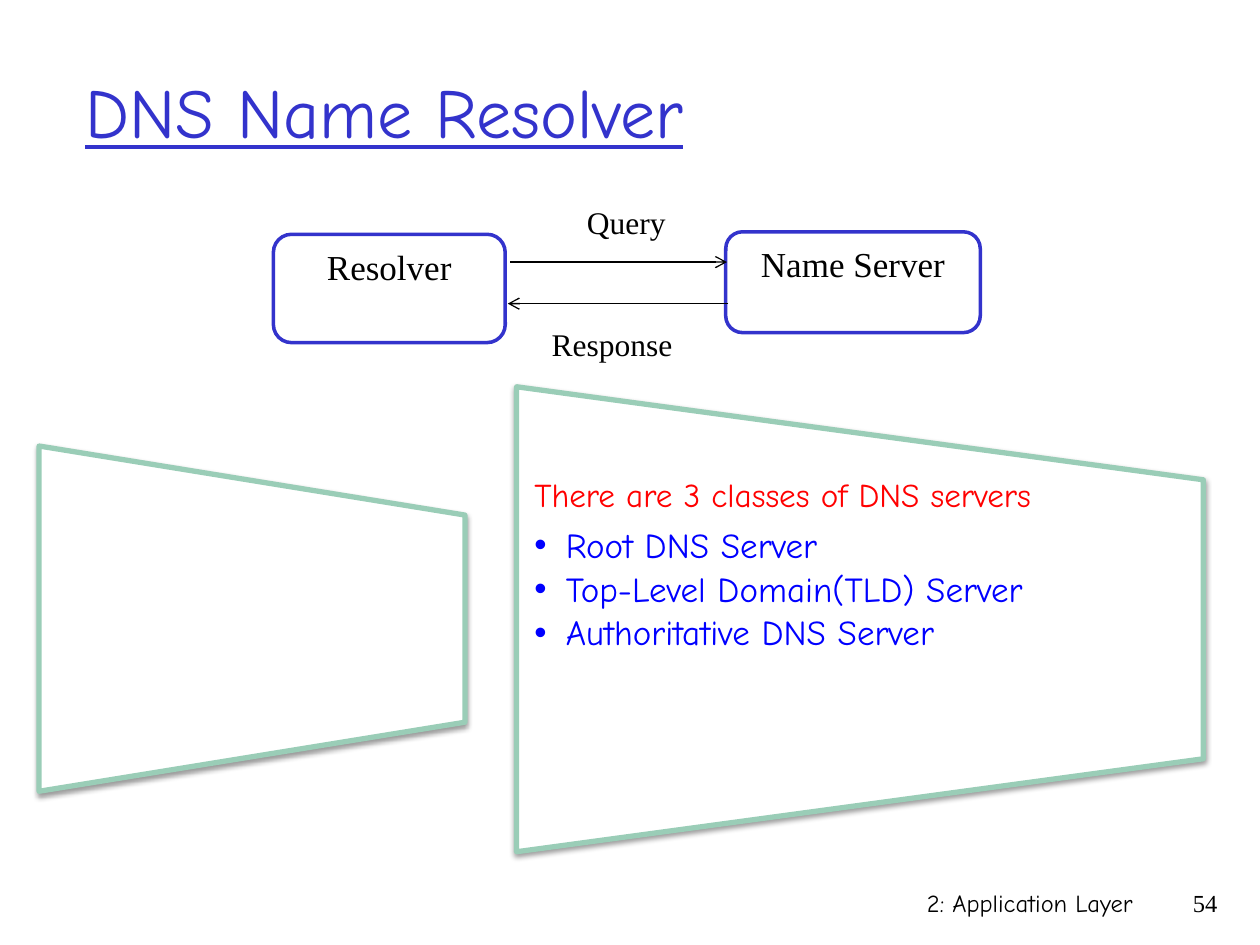
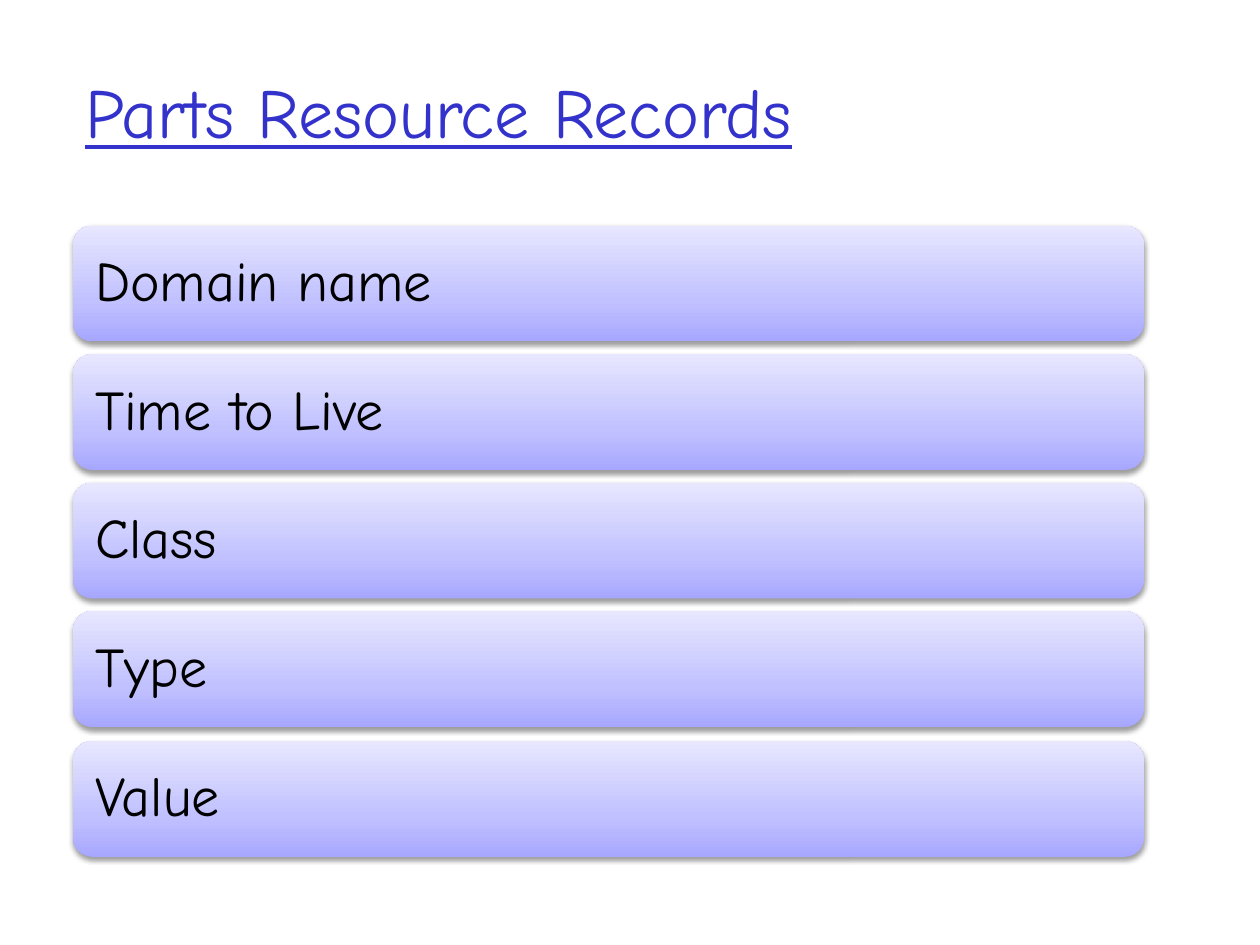
"""Build two slides on DNS name resolution and resource records."""
from dataclasses import dataclass, field
from typing import Any, NamedTuple

from lxml.etree import SubElement
from pptx import Presentation
from pptx.dml.color import RGBColor
from pptx.enum.shapes import MSO_CONNECTOR, MSO_SHAPE
from pptx.enum.text import MSO_ANCHOR, PP_ALIGN
from pptx.oxml.ns import qn
from pptx.util import Emu, Pt

PX = 9144
COLORS = {
    "title": "3333CC",
    "text": "000000",
    "paper": "FFFFFF",
    "panel": "9ACDB7",
    "heading": "FF0000",
    "item": "0000FF",
}
CARD_GRADIENT = {0: "A7A7FF", 35: "C1C1FF", 100: "E7E7FF"}
COMIC = "Comic Neue"
TIMES = "Times New Roman"
MARGINS = ("margin_left", "margin_top", "margin_right", "margin_bottom")


class Area(NamedTuple):
    left: int
    top: int
    width: int
    height: int


@dataclass(frozen=True)
class Line:
    text: str
    size: int
    color: str = "text"
    font: str = COMIC
    underline: bool = False
    bullet: bool = False
    para_format: dict[str, Any] = field(default_factory=dict)


@dataclass(frozen=True)
class Label:
    area: Area
    lines: tuple[Line, ...]
    margins: tuple[int, int, int, int] = (10, 5, 10, 5)
    frame_format: dict[str, Any] = field(default_factory=dict)


@dataclass(frozen=True)
class Arrow:
    start: tuple[int, int]
    end: tuple[int, int]


def px(length: int) -> Emu:
    return Emu(length * PX)


def rgb(name: str) -> RGBColor:
    return RGBColor.from_string(COLORS[name])


def apply_format(target: Any, values: dict[str, Any]) -> None:
    for name, value in values.items():
        setattr(target, name, value)


def add_bullet(para: Any) -> None:
    properties = para._p.get_or_add_pPr()
    apply_format(properties, {"lvl": 1})
    properties.set("marL", str(px(25)))
    properties.set("indent", str(px(-25)))
    SubElement(properties, qn("a:buFont"), typeface="Arial")
    SubElement(properties, qn("a:buChar"), char="•")


def write_text(box: Any, label: Label) -> None:
    frame = box.text_frame
    margins = {name: px(value) for name, value in zip(MARGINS, label.margins)}
    defaults = {"word_wrap": True, "vertical_anchor": MSO_ANCHOR.TOP}
    apply_format(frame, defaults | margins | label.frame_format)
    for index, line in enumerate(label.lines):
        para = frame.add_paragraph() if index else frame.paragraphs[0]
        if line.bullet:
            add_bullet(para)
        apply_format(para, {"alignment": PP_ALIGN.LEFT} | line.para_format)
        span = para.add_run()
        span.text = line.text
        apply_format(span.font, {"name": line.font, "size": Pt(line.size), "underline": line.underline})
        span.font.color.rgb = rgb(line.color)


def add_label(page: Any, label: Label) -> None:
    write_text(page.shapes.add_textbox(*map(px, label.area)), label)


def add_title(page: Any, text: str) -> None:
    line = Line(text, 40, "title", underline=True)
    add_label(page, Label(Area(58, 25, 850, 125), (line,), frame_format={"vertical_anchor": MSO_ANCHOR.MIDDLE}))


def add_box(page: Any, kind: MSO_SHAPE, area: Area, outline: str = "", width: int = 0) -> Any:
    box = page.shapes.add_shape(kind, *map(px, area))
    box.shadow.inherit = False
    box.fill.solid()
    box.fill.fore_color.rgb = rgb("paper")
    if outline:
        box.line.color.rgb = rgb(outline)
        box.line.width = Pt(width)
    else:
        box.line.fill.background()
    return box


def add_shadow(box: Any) -> None:
    effects = box._element.spPr.find(qn("a:effectLst"))
    shadow = SubElement(
        effects, qn("a:outerShdw"), blurRad=str(Pt(3.1)), dist=str(Pt(1.6)), dir="5400000", rotWithShape="0"
    )
    color = SubElement(shadow, qn("a:srgbClr"), val=COLORS["text"])
    SubElement(color, qn("a:alpha"), val="38000")


def add_panel(page: Any, area: Area) -> None:
    panel = add_box(page, MSO_SHAPE.FLOWCHART_MANUAL_OPERATION, area, "panel", 3)
    panel.rotation = 270
    add_shadow(panel)


def add_node(page: Any, area: Area, text: str) -> None:
    node = add_box(page, MSO_SHAPE.ROUNDED_RECTANGLE, area, "title", 2)
    line = Line(text, 20, font=TIMES, para_format={"alignment": PP_ALIGN.CENTER})
    write_text(node, Label(area, (line,)))


def add_arrow(page: Any, arrow: Arrow) -> None:
    connector = page.shapes.add_connector(MSO_CONNECTOR.STRAIGHT, *map(px, arrow.start + arrow.end))
    connector.line.color.rgb = rgb("text")
    connector.line.width = Pt(0.75)
    SubElement(connector.line._get_or_add_ln(), qn("a:tailEnd"), type="arrow")
    SubElement(connector._element.spPr, qn("a:effectLst"))


def add_card(page: Any, area: Area, text: str) -> None:
    card = add_box(page, MSO_SHAPE.ROUNDED_RECTANGLE, area)
    card.fill.gradient()
    card.fill.gradient_angle = 90
    stops = card._element.spPr.find(qn("a:gradFill")).find(qn("a:gsLst"))
    for stop in list(stops):
        stops.remove(stop)
    for position, color in CARD_GRADIENT.items():
        stop = SubElement(stops, qn("a:gs"), pos=str(position * 1000))
        SubElement(stop, qn("a:srgbClr"), val=color)
    add_shadow(card)
    line = Line(text, 32, para_format={"line_spacing": 0.9})
    write_text(card, Label(area, (line,), (13, 13, 13, 13), {"vertical_anchor": MSO_ANCHOR.MIDDLE}))


def build_resolver(page: Any) -> None:
    add_title(page, "DNS Name Resolver")
    for area in (Area(63, 322, 274, 338), Area(498, 219, 369, 545)):
        add_panel(page, area)

    heading_format = {"line_spacing": 0.9, "space_after": Pt(7.5)}
    item_format = {"line_spacing": 0.9, "space_after": Pt(3.5)}
    servers = ("Root DNS Server", "Top-Level Domain(TLD) Server", "Authoritative DNS Server")
    heading = Line("There are 3 classes of DNS servers", 19, "heading", para_format=heading_format)
    items = tuple(Line(name, 20, "item", bullet=True, para_format=item_format) for name in servers)
    add_label(page, Label(Area(410, 380, 545, 222), (heading, *items), (14, 0, 14, 0)))

    right = {"alignment": PP_ALIGN.RIGHT}
    add_label(page, Label(Area(592, 700, 317, 50), (Line("2: Application Layer", 14, para_format=right),)))
    add_label(page, Label(Area(908, 700, 68, 50), (Line("54", 14, font=TIMES, para_format=right),)))

    add_node(page, Area(217, 186, 184, 86), "Resolver")
    add_node(page, Area(576, 184, 202, 80), "Name Server")
    for arrow in (Arrow((405, 208), (577, 208)), Arrow((578, 241), (403, 241))):
        add_arrow(page, arrow)
    for text, area in (("Query", Area(456, 156, 83, 40)), ("Response", Area(428, 253, 117, 40))):
        add_label(page, Label(area, (Line(text, 18, font=TIMES),), frame_format={"word_wrap": False}))


def build_records(page: Any) -> None:
    add_title(page, "Parts Resource Records")
    parts = ("Domain name", "Time to Live", "Class", "Type", "Value")
    first_top, last_top = 179, 588
    for index, part in enumerate(parts):
        top = first_top + index * (last_top - first_top) // (len(parts) - 1)
        add_card(page, Area(58, top, 850, 92), part)


def main() -> None:
    deck = Presentation()
    apply_format(deck, {"slide_width": px(1000), "slide_height": px(750)})
    for build in (build_resolver, build_records):
        build(deck.slides.add_slide(deck.slide_layouts[6]))
    deck.save("out.pptx")


if __name__ == "__main__":
    main()
